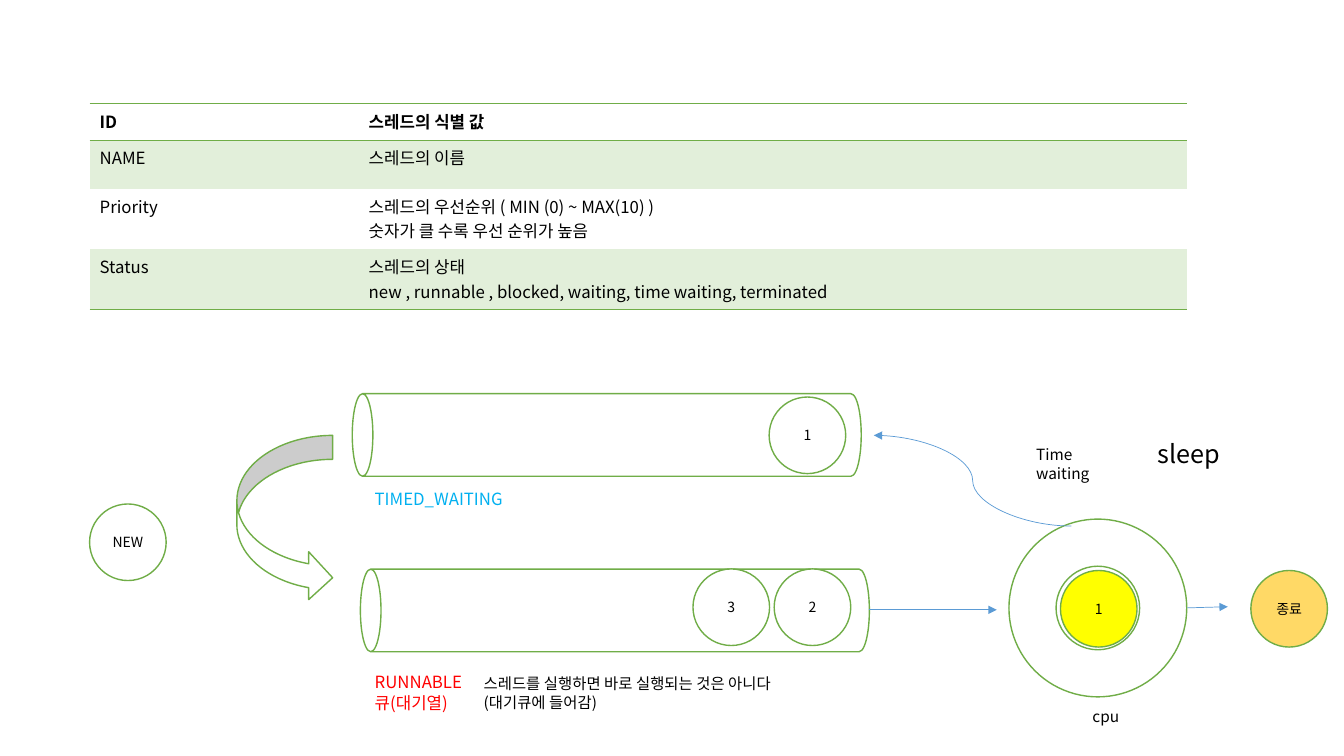
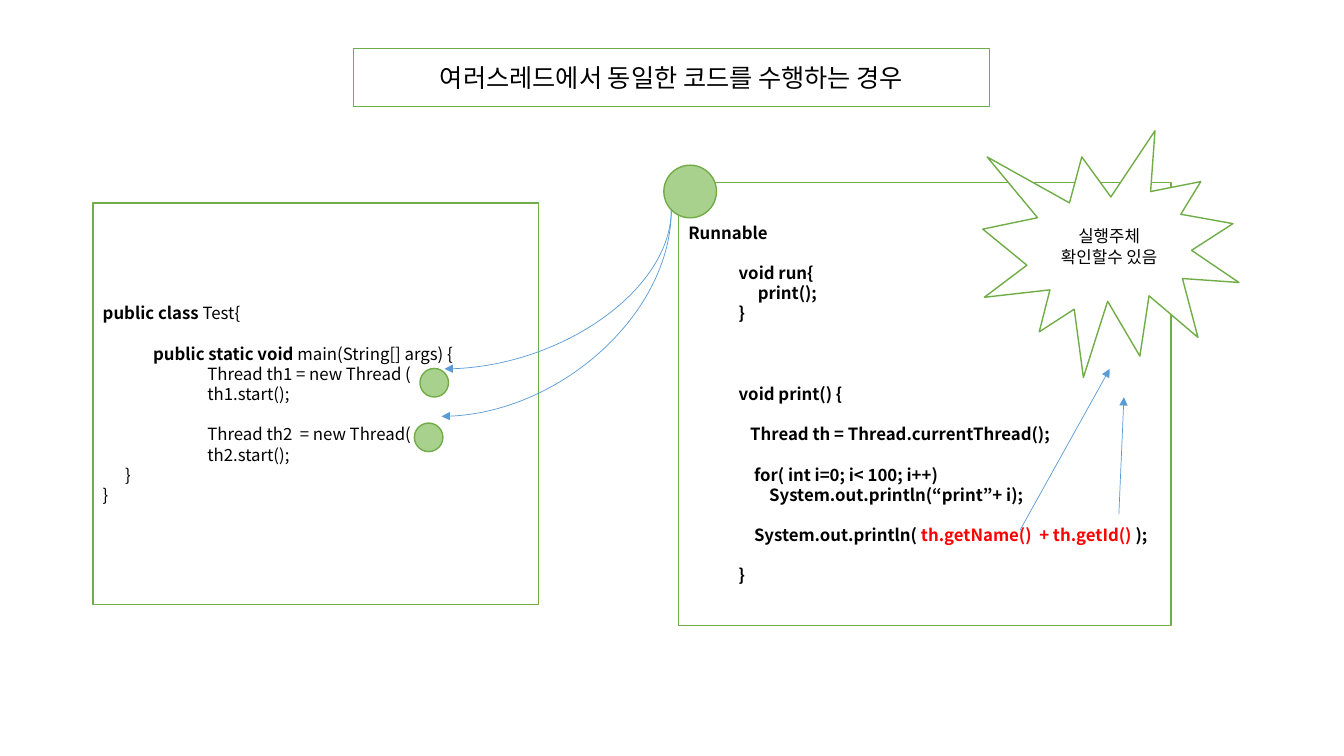
from dataclasses import dataclass
from typing import Optional

from lxml.etree import SubElement
from pptx import Presentation
from pptx.dml.color import RGBColor
from pptx.enum.shapes import MSO_CONNECTOR, MSO_SHAPE
from pptx.enum.text import MSO_ANCHOR, PP_ALIGN
from pptx.oxml.ns import qn
from pptx.util import Pt

FONT = "Noto Sans CJK KR"
BLACK = RGBColor(0x00, 0x00, 0x00)
WHITE = RGBColor(0xFF, 0xFF, 0xFF)
GREEN = RGBColor(0x70, 0xAD, 0x47)
PALE_GREEN = RGBColor(0xE2, 0xEF, 0xDA)
LIGHT_GREEN = RGBColor(0xA9, 0xD1, 0x8E)
YELLOW = RGBColor(0xFF, 0xFF, 0x00)
GOLD = RGBColor(0xFF, 0xD9, 0x66)
RED = RGBColor(0xFF, 0x00, 0x00)
SKY = RGBColor(0x00, 0xB0, 0xF0)
BLUE = RGBColor(0x5B, 0x9B, 0xD5)
PLAIN_TABLE_STYLE = "{2D5ABB26-0587-4C30-8999-92F81FD0307C}"
LINE_HEIGHT = 1.2
THREAD_SIZE = 54.7


@dataclass(frozen=True)
class Span:
    text: str
    bold: bool = False
    color: RGBColor = BLACK


@dataclass(frozen=True)
class CodeLine:
    spans: tuple[Span, ...]
    indent: float = 0
    blank_lines: int = 0


@dataclass(frozen=True)
class Label:
    lines: tuple[str, ...]
    left: float
    top: float
    width: float
    height: float
    size: float = 11
    color: RGBColor = BLACK


@dataclass(frozen=True)
class ThreadCircle:
    text: str
    left: float
    top: float
    color: RGBColor = WHITE


@dataclass(frozen=True)
class Arrow:
    start: tuple[float, float]
    end: tuple[float, float]
    geometry: Optional[str] = None
    arrow_at_start: bool = False


def bold_line(text: str, indent: float = 0, blank_lines: int = 0) -> CodeLine:
    return CodeLine((Span(text, True),), indent, blank_lines)


def plain_line(text: str, indent: float = 0, blank_lines: int = 0) -> CodeLine:
    return CodeLine((Span(text),), indent, blank_lines)


TABLE_ROWS = (
    (26, "ID", "스레드의 식별 값"),
    (34.6, "NAME", "스레드의 이름"),
    (43.2, "Priority", "스레드의 우선순위 ( MIN (0) ~ MAX(10) )\n숫자가 클 수록 우선 순위가 높음"),
    (43.2, "Status", "스레드의 상태\nnew , runnable , blocked, waiting, time waiting, terminated"),
)
THREADS = (
    ThreadCircle("NEW", 64, 360),
    ThreadCircle("2", 553, 406.4),
    ThreadCircle("3", 495, 406.4),
    ThreadCircle("1", 757.5, 407.5, YELLOW),
    ThreadCircle("1", 549.4, 283.6),
    ThreadCircle("종료", 893.5, 407.5, GOLD),
)
LABELS = (
    Label(("RUNNABLE", "큐(대기열)"), 260.6, 476.6, 107, 36, 12, RED),
    Label(("TIMED_WAITING",), 260.6, 345.6, 235, 21.6, 12, SKY),
    Label(("sleep",), 820, 309.6, 68, 51, 18),
    Label(("Time waiting",), 733, 314.6, 72, 34),
    Label(("스레드를 실행하면 바로 실행되는 것은 아니다", "(대기큐에 들어감)"), 338.4, 478, 266, 34),
    Label(("cpu",), 773.3, 501.8, 50, 21),
)
STATE_ARROWS = (
    Arrow((765.4, 375.8), (624.2, 311), "curvedConnector3"),
    Arrow((848.2, 434.2), (877, 433.4)),
    Arrow((620.6, 435.6), (712, 435.6)),
)
SHARED_CODE_ARROWS = tuple(
    Arrow(end, (479.5, 149.8), "curvedConnector2", True)
    for end in ((317.5, 263.5), (315.4, 297.4))
)
CALLER_ARROWS = (
    Arrow((728.6, 378.7), (792.7, 263.5)),
    Arrow((799.2, 367.2), (802.8, 283.7)),
)
TEST_CODE = (
    CodeLine((Span("public class ", True), Span("Test{"))),
    CodeLine((Span("public static void", True), Span(" main(String[] args) {")), 36, 1),
    plain_line("Thread th1 = new Thread (", 74.7),
    plain_line("th1.start();", 74.7),
    plain_line("Thread th2  = new Thread(", 74.7, 1),
    plain_line("th2.start();", 74.7),
    plain_line("}", 16),
    plain_line("}"),
)
RUNNABLE_CODE = (
    bold_line("Runnable"),
    bold_line("void run{", 36, 1),
    bold_line("print();", 49.6),
    bold_line("}", 36),
    bold_line("void print() {", 36, 3),
    bold_line("Thread th = Thread.currentThread();", 44.2, 1),
    bold_line("for( int i=0; i< 100; i++)", 46.9, 1),
    bold_line("System.out.println(“print”+ i);", 57.8),
    CodeLine(
        (
            Span("System.out.println( ", True),
            Span("th.getName()  + th.getId() ", True, RED),
            Span(");", True),
        ),
        46.9,
        1,
    ),
    bold_line("}", 36, 1),
)


def add_text(paragraph, text: str, *, size: float = 12, color: RGBColor = BLACK,
             bold: bool = False, align: PP_ALIGN = PP_ALIGN.LEFT,
             line_height: Optional[float] = LINE_HEIGHT) -> None:
    paragraph.alignment = align
    if line_height:
        paragraph.line_spacing = Pt(size * line_height)
    run = paragraph.add_run()
    run.text = text
    font = run.font
    font.name = FONT
    font.size = Pt(size)
    font.bold = bold
    font.color.rgb = color
    SubElement(font._element, qn("a:ea"), typeface=FONT)


def write_lines(frame, lines: tuple[str, ...], **text_format) -> None:
    for index, line in enumerate(lines):
        paragraph = frame.add_paragraph() if index else frame.paragraphs[0]
        add_text(paragraph, line, **text_format)


def add_outlined(slide, kind: MSO_SHAPE, left: float, top: float, width: float,
                 height: float, color: RGBColor = WHITE):
    shape = slide.shapes.add_shape(kind, Pt(left), Pt(top), Pt(width), Pt(height))
    shape.shadow.inherit = False
    shape.fill.solid()
    shape.fill.fore_color.rgb = color
    shape.line.color.rgb = GREEN
    shape.line.width = Pt(1)
    shape.text_frame.word_wrap = True
    shape.text_frame.vertical_anchor = MSO_ANCHOR.MIDDLE
    return shape


def add_queue(slide, left: float, top: float) -> None:
    length, thickness = 363.6, 59
    offset = (length - thickness) / 2
    queue = add_outlined(slide, MSO_SHAPE.CAN, left + offset, top - offset, thickness, length)
    queue.rotation = 270


def add_thread(slide, thread: ThreadCircle) -> None:
    circle = add_outlined(slide, MSO_SHAPE.OVAL, thread.left, thread.top,
                          THREAD_SIZE, THREAD_SIZE, thread.color)
    write_lines(circle.text_frame, (thread.text,), size=10, align=PP_ALIGN.CENTER)


def add_label(slide, label: Label) -> None:
    box = slide.shapes.add_textbox(Pt(label.left), Pt(label.top), Pt(label.width), Pt(label.height))
    box.text_frame.word_wrap = True
    write_lines(box.text_frame, label.lines, size=label.size, color=label.color)


def add_arrow(slide, arrow: Arrow) -> None:
    kind = MSO_CONNECTOR.CURVE if arrow.geometry else MSO_CONNECTOR.STRAIGHT
    connector = slide.shapes.add_connector(kind, *map(Pt, arrow.start + arrow.end))
    connector.line.color.rgb = BLUE
    connector.line.width = Pt(0.5)
    properties = connector._element.spPr
    if arrow.geometry:
        properties.find(qn("a:prstGeom")).set("prst", arrow.geometry)
    end_tag = "a:headEnd" if arrow.arrow_at_start else "a:tailEnd"
    SubElement(properties.find(qn("a:ln")), qn(end_tag), type="triangle")
    SubElement(properties, qn("a:effectLst"))


def add_code(slide, lines: tuple[CodeLine, ...], left: float, top: float,
             width: float, height: float) -> None:
    frame = add_outlined(slide, MSO_SHAPE.RECTANGLE, left, top, width, height).text_frame
    for index, line in enumerate(lines):
        paragraph = frame.add_paragraph() if index else frame.paragraphs[0]
        paragraph.space_before = Pt(line.blank_lines * 12 * LINE_HEIGHT)
        paragraph._p.get_or_add_pPr().set("marL", str(Pt(line.indent)))
        for span in line.spans:
            add_text(paragraph, span.text, bold=span.bold, color=span.color)


def add_border(cell, side: str) -> None:
    line = SubElement(cell._tc.get_or_add_tcPr(), qn(f"a:{side}"), w=str(Pt(1)))
    fill = SubElement(line, qn("a:solidFill"))
    SubElement(fill, qn("a:srgbClr"), val=str(GREEN))


def add_property_table(slide) -> None:
    height = sum(row[0] for row in TABLE_ROWS)
    frame = slide.shapes.add_table(len(TABLE_ROWS), 2, Pt(64), Pt(74.2), Pt(784), Pt(height))
    table = frame.table
    table._tbl.tblPr.find(qn("a:tableStyleId")).text = PLAIN_TABLE_STYLE
    for column, width in zip(table.columns, (192.2, 591.8)):
        column.width = Pt(width)
    for index, (row_height, *texts) in enumerate(TABLE_ROWS):
        table.rows[index].height = Pt(row_height)
        for cell, text in zip(table.rows[index].cells, texts):
            if index == 0:
                add_border(cell, "lnT")
            if index in (0, len(TABLE_ROWS) - 1):
                add_border(cell, "lnB")
            if index % 2:
                cell.fill.solid()
                cell.fill.fore_color.rgb = PALE_GREEN
            else:
                cell.fill.background()
            write_lines(cell.text_frame, tuple(text.split("\n")), bold=index == 0, line_height=None)


def build_state_slide(slide) -> None:
    add_property_table(slide)
    add_queue(slide, 257.4, 406.5)
    add_queue(slide, 251.6, 281.2)
    processor = add_outlined(slide, MSO_SHAPE.DONUT, 720.7, 370.8, 127, 127)
    processor.adjustments[0] = 0.265
    for thread in THREADS:
        add_thread(slide, thread)
    add_outlined(slide, MSO_SHAPE.CURVED_RIGHT_ARROW, 169.2, 311, 68.4, 118.8)
    for arrow in STATE_ARROWS:
        add_arrow(slide, arrow)
    for label in LABELS:
        add_label(slide, label)


def build_code_slide(slide) -> None:
    title = add_outlined(slide, MSO_SHAPE.RECTANGLE, 252.5, 34.6, 454.3, 41.5)
    write_lines(title.text_frame, ("여러스레드에서 동일한 코드를 수행하는 경우",),
                size=18, align=PP_ALIGN.CENTER)
    add_code(slide, TEST_CODE, 66.3, 145, 318.2, 287)
    add_code(slide, RUNNABLE_CODE, 484.6, 130.3, 352, 316.4)
    add_outlined(slide, MSO_SHAPE.OVAL, 474.2, 118, 37.6, 37.6, LIGHT_GREEN)
    for arrow in SHARED_CODE_ARROWS:
        add_arrow(slide, arrow)
    for left, top in ((300, 263.2), (296, 302.2)):
        add_outlined(slide, MSO_SHAPE.OVAL, left, top, 20.4, 20.4, LIGHT_GREEN)
    burst = add_outlined(slide, MSO_SHAPE.EXPLOSION1, 702, 93.4, 183, 176.2)
    write_lines(burst.text_frame, ("실행주체", "확인할수 있음"), align=PP_ALIGN.CENTER)
    for arrow in CALLER_ARROWS:
        add_arrow(slide, arrow)


def main() -> None:
    presentation = Presentation()
    presentation.slide_width = Pt(960)
    presentation.slide_height = Pt(540)
    for build in (build_state_slide, build_code_slide):
        build(presentation.slides.add_slide(presentation.slide_layouts[6]))
    presentation.save("out.pptx")


if __name__ == "__main__":
    main()
